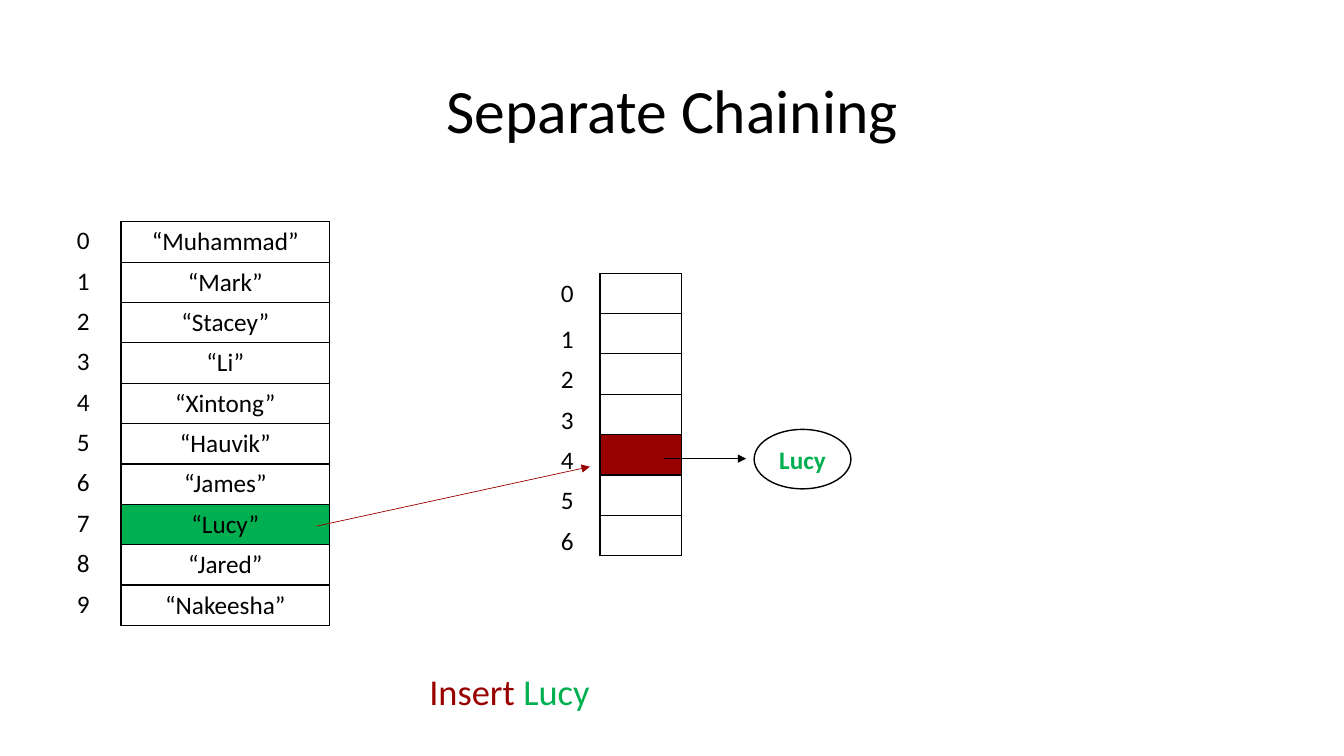
"""Build a slide on separate chaining in a hash table."""
from dataclasses import dataclass, field
from typing import Optional

from lxml import etree
from pptx import Presentation
from pptx.dml.color import RGBColor
from pptx.enum.shapes import MSO_CONNECTOR, MSO_SHAPE
from pptx.enum.text import MSO_ANCHOR, PP_ALIGN
from pptx.oxml.ns import qn
from pptx.util import Inches, Pt

BLACK = RGBColor(0x00, 0x00, 0x00)
WHITE = RGBColor(0xFF, 0xFF, 0xFF)
RED = RGBColor(0x99, 0x00, 0x00)
GREEN = RGBColor(0x00, 0xB0, 0x50)
FONT = "Calibri"
CENTER = PP_ALIGN.CENTER
LEFT = PP_ALIGN.LEFT
MIDDLE = MSO_ANCHOR.MIDDLE
TOP = MSO_ANCHOR.TOP
STRAIGHT = MSO_CONNECTOR.STRAIGHT
OVAL = MSO_SHAPE.OVAL
ROW_HEIGHT = 0.4


@dataclass
class Column:
    left: float
    top: float
    width: float
    labels: list[str]
    bordered: bool = False
    first_height: float = ROW_HEIGHT
    fills: dict[int, RGBColor] = field(default_factory=dict)


@dataclass
class Arrow:
    start: tuple[float, float]
    end: tuple[float, float]
    color: RGBColor


@dataclass
class Run:
    text: str
    size: float = 18
    color: RGBColor = BLACK
    bold: bool = False


NAMES = ["Muhammad", "Mark", "Stacey", "Li", "Xintong",
         "Hauvik", "James", "Lucy", "Jared", "Nakeesha"]
BUCKET_COUNT = 7

COLUMNS = [
    Column(5.22, 2.71, 0.81, [str(index) for index in range(BUCKET_COUNT)],
           first_height=0.46),
    Column(5.95, 2.71, 0.81, [""] * BUCKET_COUNT, bordered=True, fills={4: RED}),
    Column(1.2, 2.2, 2.07, [f"“{name}”" for name in NAMES], bordered=True,
           fills={7: GREEN}),
    Column(0.46, 2.19, 0.73, [str(index) for index in range(len(NAMES))]),
]

ARROWS = [
    Arrow((3.14, 5.22), (5.85, 4.63), RED),
    Arrow((6.59, 4.55), (7.4, 4.55), BLACK),
]


def write_runs(text_frame, runs: list[Run], alignment=CENTER,
               spacing: Optional[float] = None) -> None:
    """Write styled runs into the first paragraph."""
    paragraph = text_frame.paragraphs[0]
    paragraph.alignment = alignment
    paragraph.line_spacing = spacing
    for item in runs:
        run = paragraph.add_run()
        run.text = item.text
        run.font.name = FONT
        run.font.size = Pt(item.size)
        run.font.bold = item.bold
        run.font.color.rgb = item.color


def set_borders(cell, bordered: bool) -> None:
    """Give all four sides of a cell a black line or none."""
    properties = cell._tc.get_or_add_tcPr()
    for side in ("a:lnL", "a:lnR", "a:lnT", "a:lnB"):
        line = etree.SubElement(properties, qn(side), w=str(Pt(1)))
        if bordered:
            solid = etree.SubElement(line, qn("a:solidFill"))
            etree.SubElement(solid, qn("a:srgbClr"), val=str(BLACK))
        else:
            etree.SubElement(line, qn("a:noFill"))


def add_column(slide, column: Column) -> None:
    """Draw a one-column table."""
    count = len(column.labels)
    height = column.first_height + ROW_HEIGHT * (count - 1)
    table = slide.shapes.add_table(
        count, 1, Inches(column.left), Inches(column.top),
        Inches(column.width), Inches(height)).table
    table.first_row = False
    table.horz_banding = False
    for index, label in enumerate(column.labels):
        table.rows[index].height = Inches(ROW_HEIGHT if index else column.first_height)
        cell = table.cell(index, 0)
        set_borders(cell, column.bordered)
        if index in column.fills:
            cell.fill.solid()
            cell.fill.fore_color.rgb = column.fills[index]
        else:
            cell.fill.background()
        if label:
            write_runs(cell.text_frame, [Run(label)])


def add_text(slide, left: float, top: float, width: float, height: float,
             runs: list[Run], alignment=LEFT, anchor=TOP,
             spacing: Optional[float] = None) -> None:
    """Add a wrapping text box."""
    text_frame = slide.shapes.add_textbox(
        Inches(left), Inches(top), Inches(width), Inches(height)).text_frame
    text_frame.word_wrap = True
    text_frame.vertical_anchor = anchor
    write_runs(text_frame, runs, alignment, spacing)


def add_arrow(slide, arrow: Arrow) -> None:
    """Draw a thin line with a triangle at its end."""
    points = [Inches(value) for value in arrow.start + arrow.end]
    connector = slide.shapes.add_connector(STRAIGHT, *points)
    connector.line.color.rgb = arrow.color
    connector.line.width = Pt(0.5)
    line = connector.line._get_or_add_ln()
    etree.SubElement(line, qn("a:tailEnd"), type="triangle")
    etree.SubElement(connector._element.spPr, qn("a:effectLst"))


def add_node(slide) -> None:
    """Draw the chained entry as an ellipse."""
    node = slide.shapes.add_shape(
        OVAL, Inches(7.48), Inches(4.26), Inches(0.96), Inches(0.59))
    node.shadow.inherit = False
    node.fill.solid()
    node.fill.fore_color.rgb = WHITE
    node.line.color.rgb = BLACK
    node.line.width = Pt(1)
    node.text_frame.word_wrap = False
    node.text_frame.vertical_anchor = MIDDLE
    write_runs(node.text_frame, [Run("Lucy", color=GREEN, bold=True)])


def main() -> None:
    """Build and save the presentation."""
    presentation = Presentation()
    presentation.slide_width = Inches(13.33)
    presentation.slide_height = Inches(7.5)
    slide = presentation.slides.add_slide(presentation.slide_layouts[6])
    add_text(slide, 0.92, 0.4, 11.5, 1.45, [Run("Separate Chaining", 44)],
             CENTER, MIDDLE, 0.9)
    for column in COLUMNS:
        add_column(slide, column)
    add_text(slide, 4.16, 6.59, 2.09, 0.54,
             [Run("Insert ", 26, RED), Run("Lucy", 26, GREEN)])
    for arrow in ARROWS:
        add_arrow(slide, arrow)
    add_node(slide)
    presentation.save("out.pptx")


if __name__ == "__main__":
    main()
